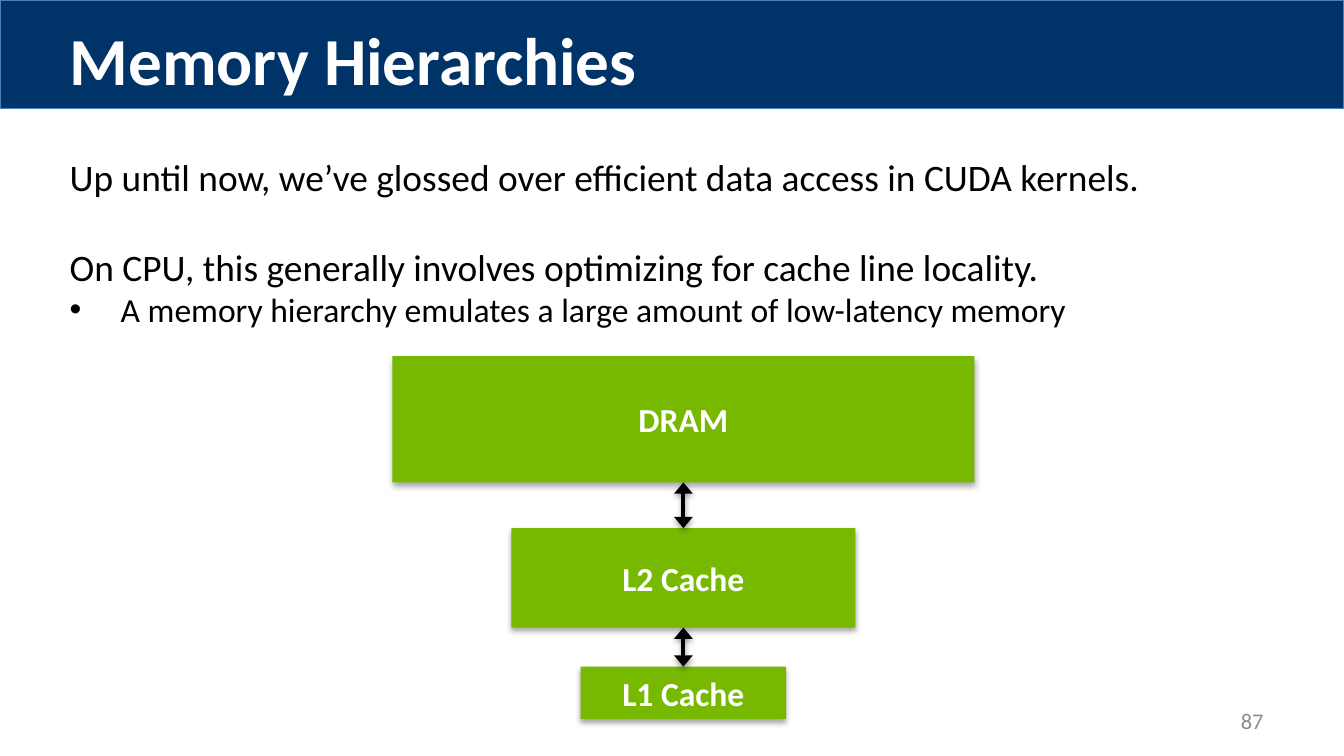
from lxml.etree import SubElement
from pptx import Presentation
from pptx.dml.color import RGBColor
from pptx.enum.shapes import MSO_CONNECTOR, MSO_SHAPE
from pptx.enum.text import MSO_ANCHOR, PP_ALIGN
from pptx.oxml.ns import qn
from pptx.util import Inches, Pt

COLORS = {
    "banner": "003367",
    "banner line": "4B7EBC",
    "memory": "76B900",
    "light": "FFFFFF",
    "dark": "000000",
    "number": "8C8C8C",
}
BOTTOM, TOP = 2, 0


def color(name):
    return RGBColor.from_string(COLORS[name])


def set_font(paragraph, size, color_name, bold=False):
    font = paragraph.font
    font.name = "Calibri"
    font.size = Pt(size)
    font.bold = bold
    font.color.rgb = color(color_name)


def add_text_box(slide, left, top, width, height):
    """Add a wrapping text box and return its text frame."""
    box = slide.shapes.add_textbox(
        Inches(left), Inches(top), Inches(width), Inches(height))
    box.text_frame.word_wrap = True
    return box.text_frame


def add_rectangle(slide, left, top, width, height, fill):
    rectangle = slide.shapes.add_shape(
        MSO_SHAPE.RECTANGLE,
        Inches(left), Inches(top), Inches(width), Inches(height))
    rectangle.fill.solid()
    rectangle.fill.fore_color.rgb = color(fill)
    rectangle.shadow.inherit = False
    return rectangle


def add_shadow(effects, distance, opacity):
    """Put a soft downward shadow into an effect list."""
    shadow = SubElement(
        effects, qn("a:outerShdw"), blurRad=str(Pt(3.1)), dist=str(Pt(distance)),
        dir="5400000", rotWithShape="0")
    shade = SubElement(shadow, qn("a:srgbClr"), val=COLORS["dark"])
    SubElement(shade, qn("a:alpha"), val=str(opacity * 1000))


def add_title_banner(slide, left, top, width, height):
    banner = add_rectangle(slide, left, top, width, height, "banner")
    banner.line.color.rgb = color("banner line")
    banner.line.width = Pt(0.75)
    frame = add_text_box(slide, left + 0.42, top + 0.09, width - 0.58, height - 0.1)
    paragraph = frame.paragraphs[0]
    paragraph.text = "Memory Hierarchies"
    set_font(paragraph, 36, "light", bold=True)


def add_body(slide, left, top, width, height):
    frame = add_text_box(slide, left, top, width, height)
    statement = frame.paragraphs[0]
    statement.text = "Up until now, we’ve glossed over efficient data access in CUDA kernels."
    set_font(statement, 20, "dark")

    statement = frame.add_paragraph()
    statement.text = "On CPU, this generally involves optimizing for cache line locality."
    statement.space_before = Pt(24)
    set_font(statement, 20, "dark")

    bullet = frame.add_paragraph()
    bullet.text = "A memory hierarchy emulates a large amount of low-latency memory"
    properties = bullet._p.get_or_add_pPr()
    properties.set("marL", str(Inches(0.38)))
    properties.set("indent", str(Inches(-0.38)))
    SubElement(properties, qn("a:buFont"), typeface="Arial")
    SubElement(properties, qn("a:buChar"), char="•")
    set_font(bullet, 18, "dark")


def add_memory_level(slide, center, top, width, height, name):
    level = add_rectangle(slide, center - width / 2, top, width, height, "memory")
    level.line.fill.background()
    add_shadow(level._element.spPr.find(qn("a:effectLst")), 1.8, 35)
    frame = level.text_frame
    frame.vertical_anchor = MSO_ANCHOR.MIDDLE
    paragraph = frame.paragraphs[0]
    paragraph.text = name
    paragraph.alignment = PP_ALIGN.CENTER
    set_font(paragraph, 18, "light", bold=True)
    return level


def add_double_arrow(slide, upper, lower):
    arrow = slide.shapes.add_connector(MSO_CONNECTOR.STRAIGHT, 0, 0, 0, 0)
    arrow.begin_connect(upper, BOTTOM)
    arrow.end_connect(lower, TOP)
    arrow.line.color.rgb = color("dark")
    arrow.line.width = Pt(2)
    line = arrow.line._get_or_add_ln()
    for end in ("a:headEnd", "a:tailEnd"):
        SubElement(line, qn(end), type="triangle", w="lg", len="med")
    effects = SubElement(arrow._element.spPr, qn("a:effectLst"))
    add_shadow(effects, 1.6, 38)


def add_memory_hierarchy(slide, left, top, width):
    """Stack the memory levels, centred, with arrows between neighbours."""
    center = left + width / 2
    levels = [
        add_memory_level(slide, center, top + offset, level_width, height, name)
        for name, offset, level_width, height in (
            ("DRAM", 0, width, 0.94),
            ("L2 Cache", 1.28, 2.56, 0.74),
            ("L1 Cache", 2.31, 1.53, 0.39),
        )
    ]
    for upper, lower in zip(levels, levels[1:]):
        add_double_arrow(slide, upper, lower)


def add_slide_number(slide, left, top, width, height):
    frame = add_text_box(slide, left, top, width, height)
    frame.vertical_anchor = MSO_ANCHOR.MIDDLE
    paragraph = frame.paragraphs[0]
    paragraph.text = "87"
    paragraph.alignment = PP_ALIGN.RIGHT
    set_font(paragraph, 12, "number")


def main():
    presentation = Presentation()
    presentation.slide_width = Inches(10)
    presentation.slide_height = Inches(10 * 9 / 16)
    slide = presentation.slides.add_slide(presentation.slide_layouts[6])
    add_body(slide, 0.42, 1.1, 9.33, 4.05)
    add_title_banner(slide, 0, 0, 10, 0.81)
    add_slide_number(slide, 7.17, 5.21, 2.33, 0.3)
    add_memory_hierarchy(slide, 2.92, 2.65, 4.33)
    presentation.save("out.pptx")


if __name__ == "__main__":
    main()
